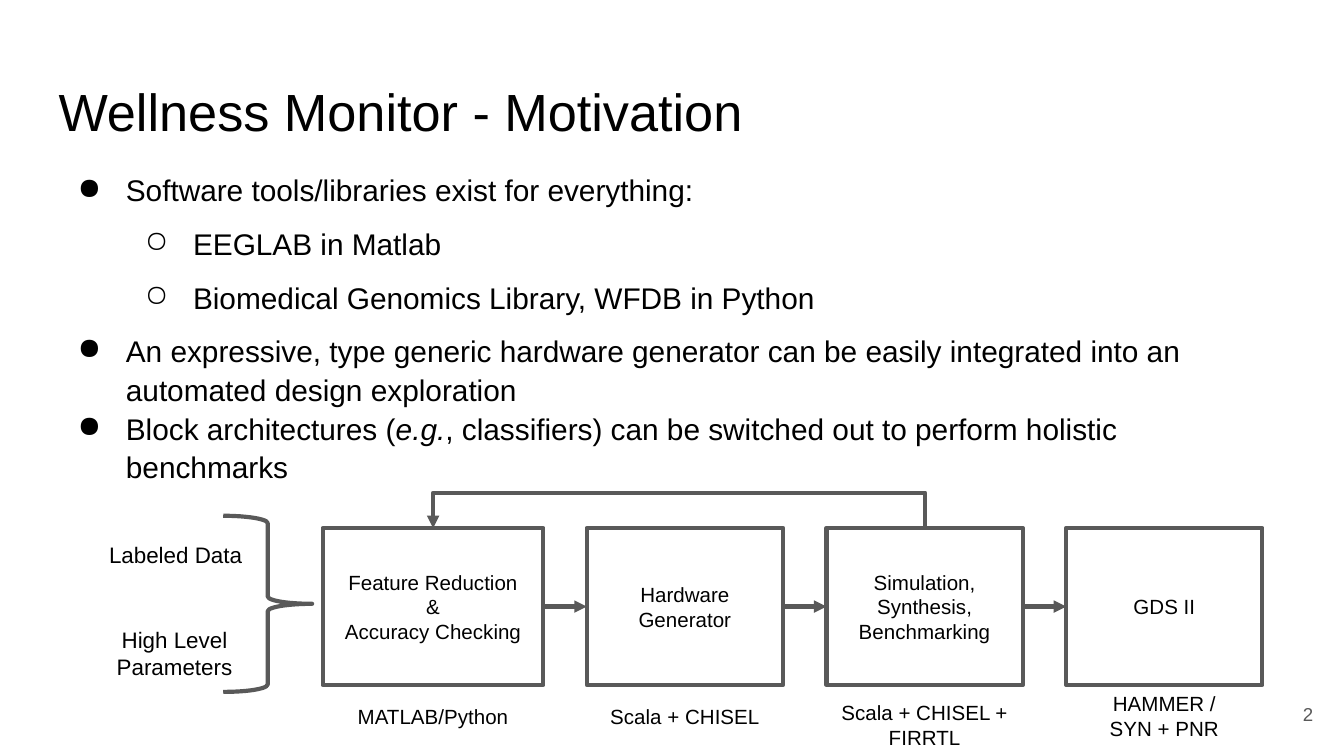
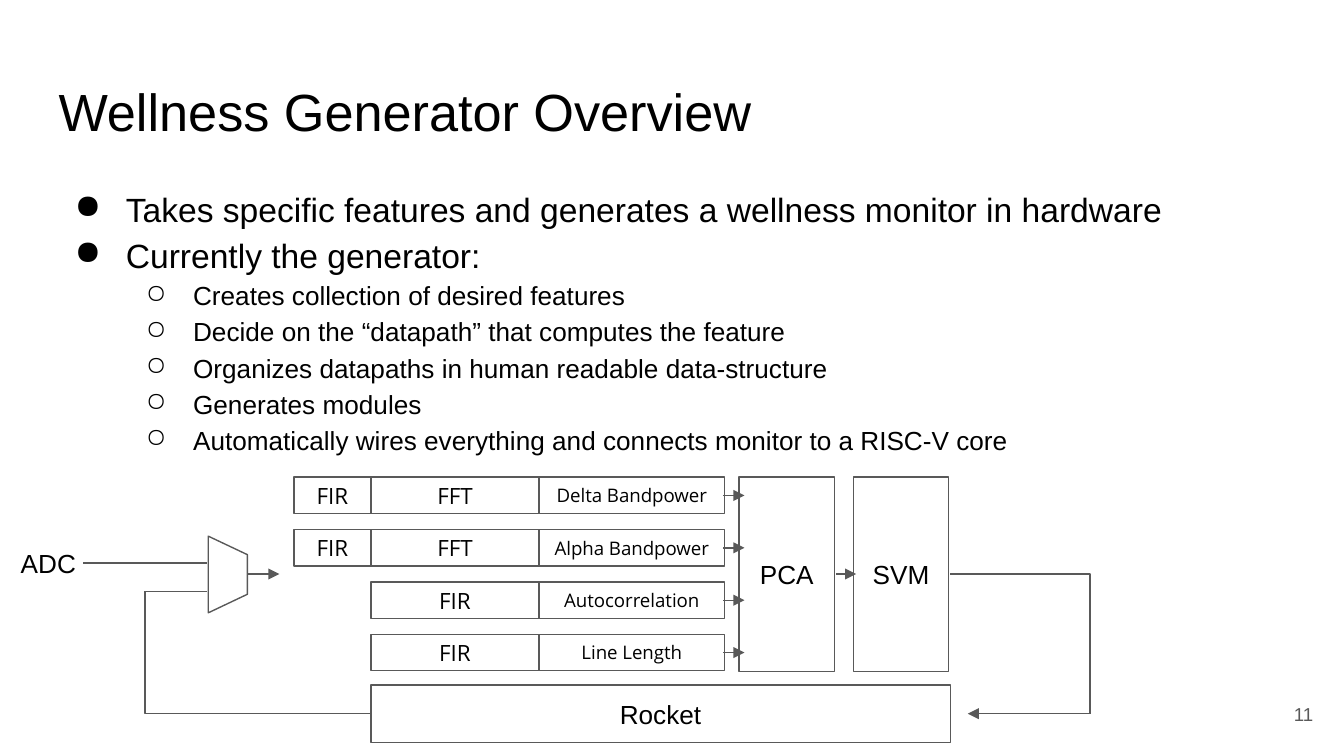
import lxml.etree
import pptx
import pptx.dml.color
import pptx.enum.shapes
import pptx.enum.text
import pptx.oxml.ns
import pptx.util

Cm = pptx.util.Cm
Pt = pptx.util.Pt
qn = pptx.oxml.ns.qn
SHAPE = pptx.enum.shapes.MSO_SHAPE
CONNECTOR = pptx.enum.shapes.MSO_CONNECTOR
ALIGN = pptx.enum.text.PP_ALIGN
ANCHOR = pptx.enum.text.MSO_ANCHOR

BLACK, GRAY, WHITE = "000000", "595959", "FFFFFF"


def rgb(color):
    return pptx.dml.color.RGBColor.from_string(color)


class Deck:
    """Holds the presentation, its style and the slide being filled; lengths are in cm."""

    def __init__(self):
        self.prs = pptx.Presentation()
        self.prs.slide_width, self.prs.slide_height = Cm(25.4), Cm(14.29)
        self.font = "Arial"
        self.line_width = 0.75

    def new_slide(self, title, number, line_width):
        self.s = self.prs.slides.add_slide(self.prs.slide_layouts[6])
        self.line_width = line_width
        self.text(0.86, 1.24, 23.67, 1.6, [title], 28, align=ALIGN.LEFT)
        self.text(23.55, 12.95, 1.52, 1.09, [number], 10, align=ALIGN.RIGHT,
                  anchor=ANCHOR.MIDDLE, color=GRAY)

    def frame(self, sp, anchor):
        tf = sp.text_frame
        tf.word_wrap = True
        tf.vertical_anchor = anchor
        tf.margin_left = tf.margin_right = tf.margin_top = tf.margin_bottom = Cm(0.25)
        return tf

    def add_run(self, p, text, size, font=None, color=BLACK, italic=None):
        r = p.add_run()
        r.text = text
        r.font.name = font or self.font
        r.font.size = Pt(size)
        r.font.italic = italic
        r.font.color.rgb = rgb(color)

    def add_paragraphs(self, tf, paragraphs, size, align, font=None, color=BLACK):
        """One paragraph per item; a newline inside an item is a line break."""
        for i, text in enumerate(paragraphs):
            p = tf.add_paragraph() if i else tf.paragraphs[0]
            p.alignment = align
            for j, part in enumerate(text.split("\n")):
                if j:
                    p.add_line_break()
                self.add_run(p, part, size, font, color)

    def text(self, x, y, w, h, paragraphs, size, align=ALIGN.CENTER,
             anchor=ANCHOR.TOP, color=BLACK):
        sp = self.s.shapes.add_textbox(Cm(x), Cm(y), Cm(w), Cm(h))
        self.add_paragraphs(self.frame(sp, anchor), paragraphs, size, align, color=color)

    def bullets(self, x, y, w, h, items, spacing, hanging):
        """Items are (level, size, space before, runs); odd runs are italic."""
        sp = self.s.shapes.add_textbox(Cm(x), Cm(y), Cm(w), Cm(h))
        tf = self.frame(sp, ANCHOR.TOP)
        for i, (level, size, before, runs) in enumerate(items):
            p = tf.add_paragraph() if i else tf.paragraphs[0]
            p.level = level
            p.line_spacing = spacing
            p.space_before = Pt(before)
            pPr = p._p.get_or_add_pPr()
            pPr.set("marL", str(Cm(1.27 * (level + 1))))
            pPr.set("indent", str(-Cm(hanging[level])))
            clr = lxml.etree.SubElement(pPr, qn("a:buClr"))
            lxml.etree.SubElement(clr, qn("a:srgbClr"), val=BLACK)
            lxml.etree.SubElement(pPr, qn("a:buChar"), char="●○"[level])
            for j, text in enumerate(runs):
                self.add_run(p, text, size, italic=j % 2 == 1)

    def shape(self, kind, x, y, w, h, fill=None, line=True, adjust=(), rotation=0):
        sp = self.s.shapes.add_shape(kind, Cm(x), Cm(y), Cm(w), Cm(h))
        sp.shadow.inherit = False
        sp.rotation = rotation
        for i, value in enumerate(adjust):
            sp.adjustments[i] = value
        if fill:
            sp.fill.solid()
            sp.fill.fore_color.rgb = rgb(fill)
        else:
            sp.fill.background()
        if line:
            self.outline(sp)
        else:
            sp.line.fill.background()
        return sp

    def outline(self, sp):
        sp.line.color.rgb = rgb(GRAY)
        sp.line.width = Pt(self.line_width)

    def box(self, x, y, w, h, paragraphs, size, font=None, fill=None, line=True):
        sp = self.shape(SHAPE.RECTANGLE, x, y, w, h, fill, line)
        self.add_paragraphs(self.frame(sp, ANCHOR.MIDDLE), paragraphs, size,
                            ALIGN.CENTER, font)

    def connect(self, x1, y1, x2, y2, arrow=True, bend=None, rotation=0):
        """Straight line, or an elbow turning at the fraction bend of its width."""
        kind = CONNECTOR.STRAIGHT if bend is None else CONNECTOR.ELBOW
        sp = self.s.shapes.add_connector(kind, Cm(x1), Cm(y1), Cm(x2), Cm(y2))
        self.outline(sp)
        spPr = sp._element.spPr
        if arrow:
            lxml.etree.SubElement(spPr.find(qn("a:ln")), qn("a:tailEnd"), type="triangle")
        if bend is not None:
            guides = spPr.find(qn("a:prstGeom")).find(qn("a:avLst"))
            lxml.etree.SubElement(guides, qn("a:gd"), name="adj1",
                                  fmla=f"val {round(bend * 100000)}")
        if rotation:
            spPr.find(qn("a:xfrm")).set("rot", str(rotation * 60000))
        lxml.etree.SubElement(spPr, qn("a:effectLst"))


def motivation_slide(deck):
    deck.new_slide("Wellness Monitor - Motivation", "2", line_width=2.25)

    deck.text(1.68, 9.98, 3.28, 1.6, ["Labeled Data"], 12)
    deck.text(1.6, 11.58, 3.4, 1.6, ["High Level Parameters"], 12)
    deck.shape(SHAPE.RIGHT_BRACE, 4.22, 9.75, 1.68, 3.33, adjust=(0.083, 0.5))

    top, height, gap = 9.98, 2.97, 0.82
    stages = [
        (4.17, ["Feature Reduction", "&", "Accuracy Checking"],
         ["MATLAB/Python"], (13.08, 3.51, 0.91)),
        (3.71, ["Hardware Generator"], ["Scala + CHISEL"], (13.08, 3.51, 0.91)),
        (3.71, ["Simulation,", "Synthesis,", "Benchmarking"],
         ["Scala + CHISEL +", "FIRRTL"], (13.16, 4.06, 1.09)),
        (3.71, ["GDS II"], ["HAMMER /\nSYN + PNR"], (13.08, 3.51, 0.91)),
    ]
    x = 6.1
    for i, (width, stage, tools, (tools_y, tools_w, tools_h)) in enumerate(stages):
        deck.box(x, top, width, height, stage, 11, fill=WHITE)
        deck.box(x + (width - tools_w) / 2, tools_y, tools_w, tools_h, tools, 11,
                 fill=WHITE, line=False)
        if i:
            deck.connect(x - gap, top + height / 2, x, top + height / 2)
        x += width + gap

    # Feedback loop: a tall, very thin elbow turned on its side
    middle, half = 12.83, 4.65
    deck.connect(middle, top - half, middle + 0.01, top + half, bend=-66, rotation=90)

    deck.bullets(0.86, 2.95, 22.66, 6.4, [
        (0, 16, 0, ["Software tools/libraries exist for everything:"]),
        (1, 16, 8, ["EEGLAB in Matlab"]),
        (1, 16, 8, ["Biomedical Genomics Library, WFDB in Python"]),
        (0, 16, 8, ["An expressive, type generic hardware generator can be easily "
                    "integrated into an automated design exploration"]),
        (0, 16, 0, ["Block architectures (", "e.g.",
                    ", classifiers) can be switched out to perform holistic benchmarks"]),
    ], spacing=1.08, hanging=(0.91, 0.91))


def overview_slide(deck):
    deck.new_slide("Wellness Generator Overview", "11", line_width=0.75)

    main_points = ["Takes specific features and generates a wellness monitor in hardware",
                   "Currently the generator:"]
    steps = ["Creates collection of desired features",
             "Decide on the “datapath” that computes the feature",
             "Organizes datapaths in human readable data-structure",
             "Generates modules",
             "Automatically wires everything and connects monitor to a RISC-V core"]
    deck.bullets(0.86, 3.2, 23.24, 9.5,
                 [(0, 18, 0, [text]) for text in main_points]
                 + [(1, 14, 0, [text]) for text in steps],
                 spacing=1.15, hanging=(0.97, 0.89))

    top, pitch, height = 9.02, 0.99, 0.69
    datapaths = [("FIR", "FFT", "Delta Bandpower"),
                 ("FIR", "FFT", "Alpha Bandpower"),
                 (None, "FIR", "Autocorrelation"),
                 (None, "FIR", "Line Length")]
    columns = [(5.56, 1.45, 12), (7.01, 3.18, 12), (10.19, 3.5, 10)]
    for i, datapath in enumerate(datapaths):
        y = top + i * pitch
        for block, (x, width, size) in zip(datapath, columns):
            if block:
                deck.box(x, y, width, height, [block], size, font="Open Sans")

    for x, name in ((13.97, "PCA"), (16.13, "SVM")):
        deck.box(x, top, 1.8, 3.68, [name], 14)
    deck.box(7.01, 12.95, 10.95, 1.09, ["Rocket"], 14)
    for i in range(len(datapaths)):
        y = top + i * pitch + height / 2
        deck.connect(13.67, y, 14.07, y)

    axis, bus = 10.85, 13.49
    deck.connect(15.8, axis, 16.18, axis)
    deck.connect(7.01, bus, 2.74, 11.18, arrow=False, bend=1)
    deck.connect(20.6, bus, 17.96, axis, arrow=False, bend=0)
    deck.connect(4.67, axis, 5.28, axis)
    deck.connect(20.6, bus, 18.29, bus)

    deck.shape(SHAPE.TRAPEZOID, 3.58, 10.49, 1.45, 0.74, fill=WHITE,
               adjust=(0.474,), rotation=90)
    for x, y in ((2.74, 11.18), (1.57, 10.64)):
        deck.connect(x, y, 3.91, y, arrow=False)
    deck.text(0.1, 10.31, 1.63, 0.66, ["ADC"], 14, anchor=ANCHOR.MIDDLE)


def main():
    deck = Deck()
    motivation_slide(deck)
    overview_slide(deck)
    deck.prs.save("out.pptx")


if __name__ == "__main__":
    main()
